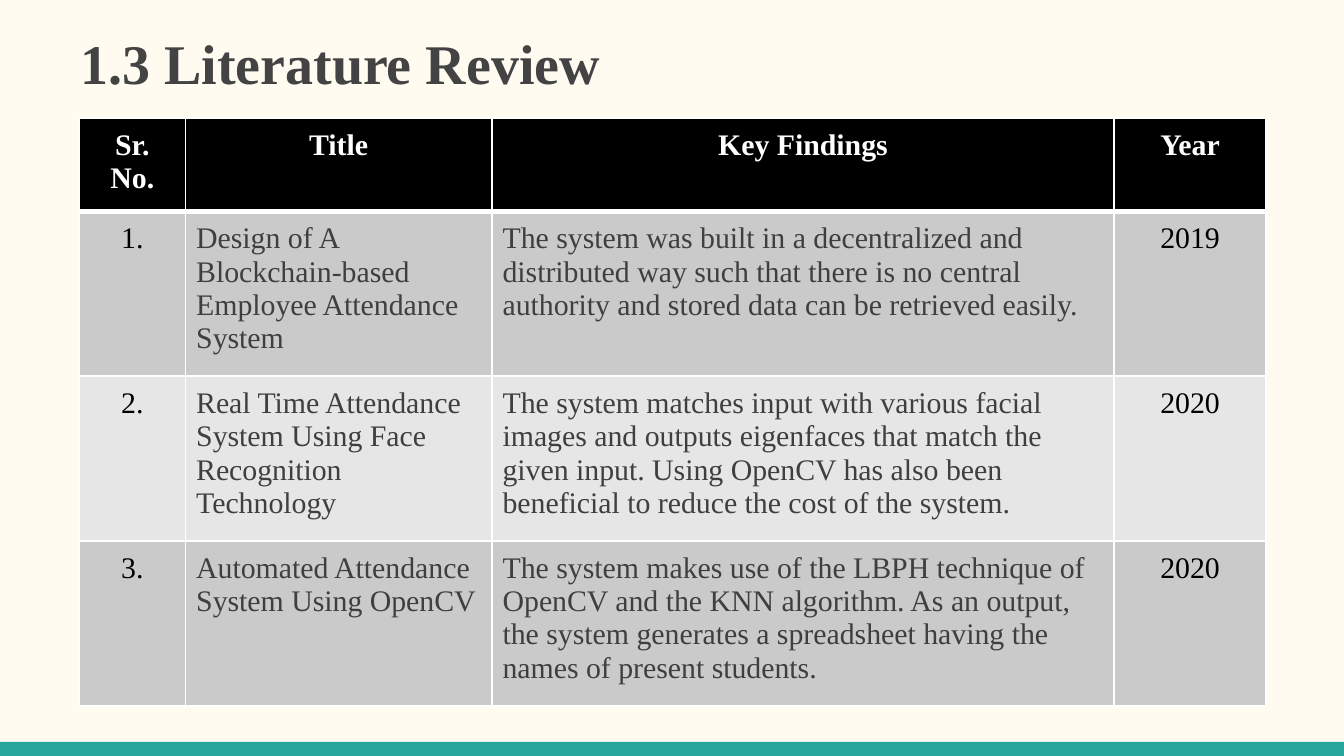
from dataclasses import dataclass

from lxml import etree
from pptx import Presentation
from pptx.dml.color import RGBColor
from pptx.enum.shapes import MSO_SHAPE
from pptx.enum.text import MSO_ANCHOR, PP_ALIGN
from pptx.oxml.ns import qn
from pptx.util import Inches, Pt

RECT = MSO_SHAPE.RECTANGLE
TOP = MSO_ANCHOR.TOP
LEFT, CENTER = PP_ALIGN.LEFT, PP_ALIGN.CENTER
CELL = Inches(0.1)  # one grid column or row


@dataclass(frozen=True)
class Theme:
    font: str = "Times New Roman"
    title_size: int = 30
    body_size: int = 16
    background: str = "FFFBF0"
    accent: str = "26A69A"
    title: str = "434343"
    body: str = "3F3F3F"
    black: str = "000000"
    white: str = "FFFFFF"
    bands: tuple = ("CACACA", "E6E6E6")


def grid(n):
    return round(n * CELL)


def paint(fill, color):
    fill.solid()
    fill.fore_color.rgb = RGBColor.from_string(color)


def write(tf, text, *, font, size, color, bold=False, align=LEFT, inset=1):
    tf.word_wrap = True
    p = tf.paragraphs[0]
    p.alignment = align
    r = p.add_run()
    r.text = text
    r.font.name = font
    r.font.size = Pt(size)
    r.font.bold = bold
    r.font.color.rgb = RGBColor.from_string(color)
    return r


def set_borders(cell, color, widths):
    """Draw left, right, top and bottom lines, with widths in points."""
    tcPr = cell._tc.get_or_add_tcPr()
    for i, (side, width) in enumerate(zip("LRTB", widths)):
        ln = etree.Element(qn(f"a:ln{side}"), w=str(Pt(width)))
        fill = etree.SubElement(ln, qn("a:solidFill"))
        etree.SubElement(fill, qn("a:srgbClr"), val=color)
        tcPr.insert(i, ln)


class Deck:
    def __init__(self, theme):
        self.theme = theme
        self.prs = Presentation()
        self.prs.slide_width, self.prs.slide_height = grid(100), grid(56.25)

    def add_slide(self):
        self.slide = self.prs.slides.add_slide(self.prs.slide_layouts[6])
        paint(self.slide.background.fill, self.theme.background)

    def bar(self, x, y, w, h):
        sp = self.slide.shapes.add_shape(RECT, *map(grid, (x, y, w, h)))
        sp.shadow.inherit = False
        paint(sp.fill, self.theme.accent)
        sp.line.fill.background()

    def title(self, text, x, y, w, h):
        t = self.theme
        tf = self.slide.shapes.add_textbox(*map(grid, (x, y, w, h))).text_frame
        tf.margin_left = tf.margin_right = grid(1)
        tf.margin_top = tf.margin_bottom = grid(1)
        tf.vertical_anchor = TOP
        write(tf, text, font=t.font, size=t.title_size, color=t.title, bold=True)

    def table(self, rows, x, y, widths, row_height, centered):
        """Rows have a minimum height and grow with their text."""
        t = self.theme
        table = self.slide.shapes.add_table(
            len(rows), len(widths), grid(x), grid(y),
            grid(sum(widths)), grid(row_height * len(rows))).table
        for col, width in zip(table.columns, widths):
            col.width = grid(width)
        for i, values in enumerate(rows):
            header = i == 0
            band = t.black if header else t.bands[(i - 1) % 2]
            for j, text in enumerate(values):
                cell = table.cell(i, j)
                cell.margin_left = cell.margin_right = grid(0.8)
                cell.margin_top = cell.margin_bottom = grid(0.8)
                cell.vertical_anchor = TOP
                paint(cell.fill, band)
                set_borders(cell, t.white, (1, 1, 3 if i == 1 else 1, 3 if header else 1))
                middle = header or j in centered
                color = t.white if header else t.black if middle else t.body
                write(cell.text_frame, text, font=t.font, size=t.body_size,
                      color=color, bold=header, align=CENTER if middle else LEFT)


ROWS = [
    ("Sr. No.", "Title", "Key Findings", "Year"),
    ("1.", "Design of A Blockchain-based Employee Attendance System",
     "The system was built in a decentralized and distributed way such that there is "
     "no central authority and stored data can be retrieved easily.", "2019"),
    ("2.", "Real Time Attendance System Using Face Recognition Technology",
     "The system matches input with various facial images and outputs eigenfaces that "
     "match the given input. Using OpenCV has also been beneficial to reduce the cost "
     "of the system.", "2020"),
    ("3.", "Automated Attendance System Using OpenCV",
     "The system makes use of the LBPH technique of OpenCV and the KNN algorithm. As an "
     "output, the system generates a spreadsheet having the names of present students.",
     "2020"),
]


def main():
    deck = Deck(Theme())
    deck.add_slide()
    # Footer bar
    deck.bar(0, 55.2, 100, 1.05)
    # Heading
    deck.title("1.3 Literature Review", 5, 1.1, 93.2, 6.7)
    # Reviewed papers
    deck.table(ROWS, 5.9, 8.8, widths=(7.9, 22.8, 46.3, 11.3),
               row_height=4.1, centered=(0, 3))
    deck.prs.save("out.pptx")


if __name__ == "__main__":
    main()
